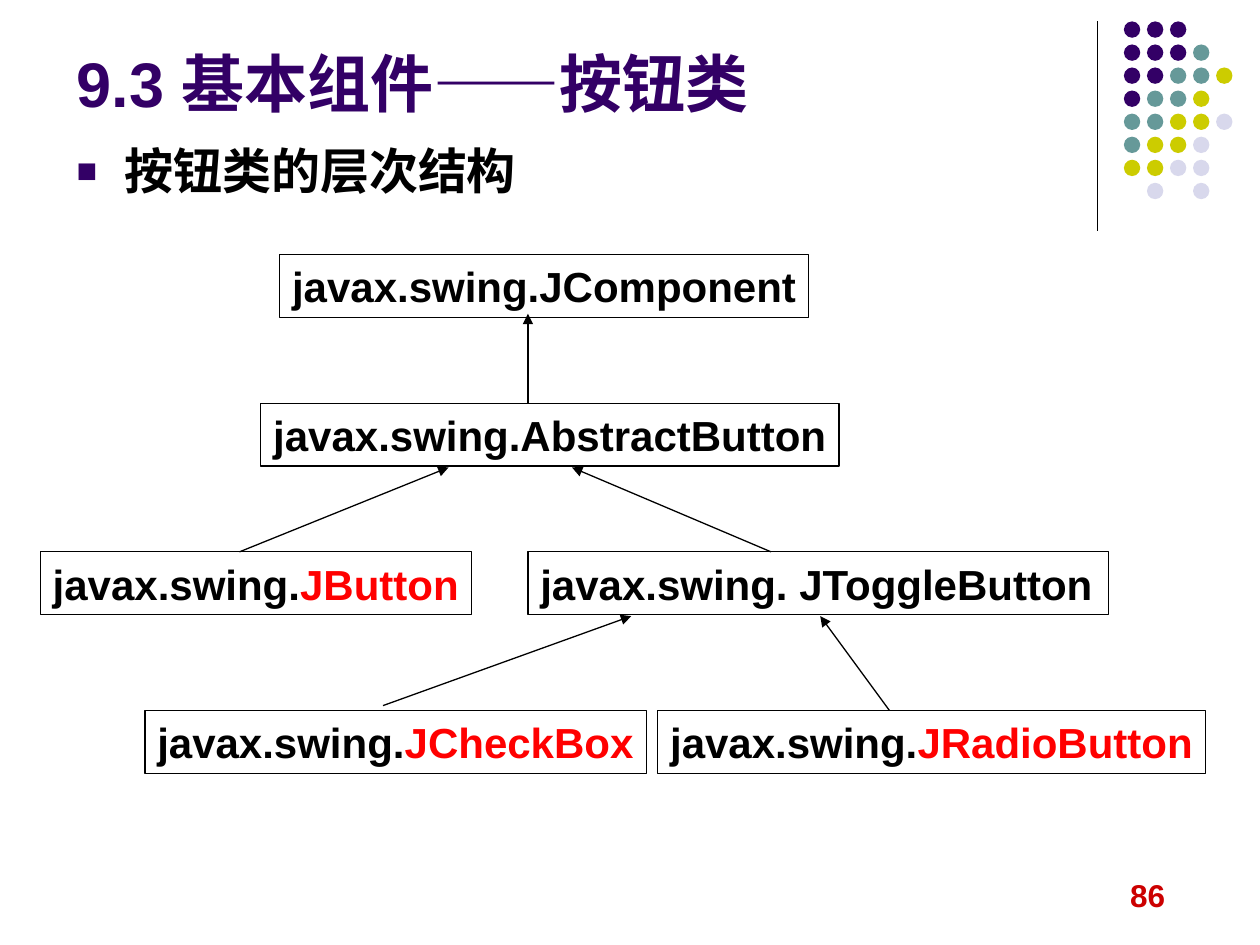
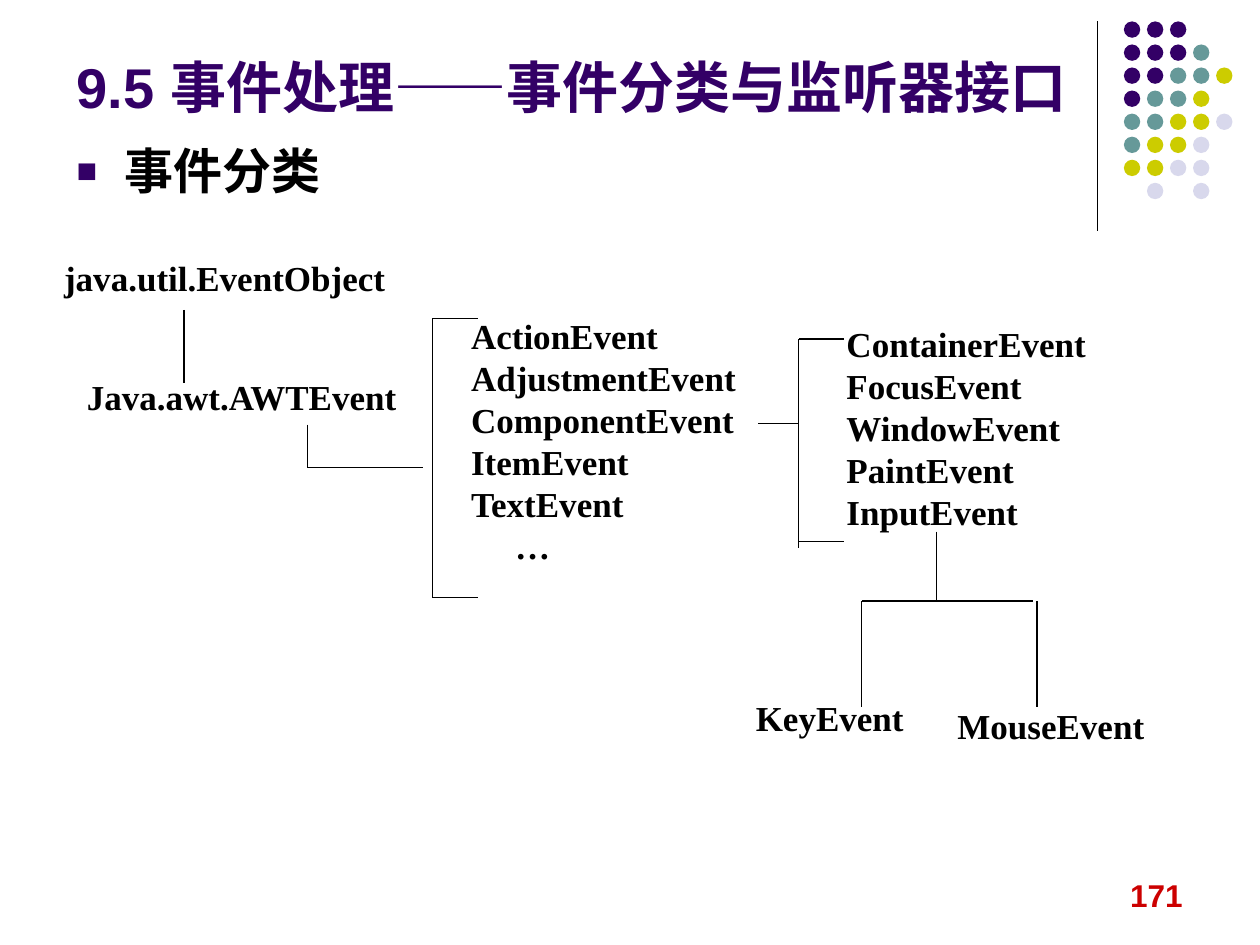
from itertools import pairwise
from lxml import etree
from pptx import Presentation
from pptx import util as u
from pptx.dml.color import RGBColor
from pptx.enum import shapes, text
from pptx.oxml.ns import qn

PX = 9144  # one px is a hundredth of an inch
HUES = {"plum": "330066", "teal": "669999", "lime": "CCCC00", "mist": "D8D8EC",
        "ink": "000000", "red": "FF0000", "page": "CC0000"}
SANS, SERIF = "Arial", "Times New Roman"

# Dot pattern: one letter per dot
DOTS = ["PPP", "PPPT", "PPTTY", "PTTY", "TTYYL", "TYYL", "YYLL", " L L"]
DOT_HUE = {"P": "plum", "T": "teal", "Y": "lime", "L": "mist"}
DOT_X, DOT_Y, PITCH, DOT = 892, 17, 18.3, 13

# Class tree: left, top, width, package, class, class colour
BOX_H = 50
BOXES = [
    (222, 202, 420, "javax.swing.", "JComponent", "ink"),
    (207, 320, 459, "javax.swing.", "AbstractButton", "ink"),
    (32, 438, 342, "javax.swing.", "JButton", "red"),
    (419, 438, 461, "javax.swing. ", "JToggleButton", "ink"),
    (115, 564, 398, "javax.swing.", "JCheckBox", "red"),
    (522, 564, 435, "javax.swing.", "JRadioButton", "red"),
]
ARROWS = [
    ((419, 320), (419, 249)),
    ((190, 438), (356, 371)),
    ((612, 438), (454, 371)),
    ((706, 564), (651, 489)),
    ((304, 560), (501, 489)),
]

# Event classes: left, top, width, height, names
EVENTS = [
    (41, 199, 289, 44, ["java.util.EventObject"]),
    (59, 293, 269, 44, ["Java.awt.AWTEvent"]),
    (364, 245, 230, 210, ["ActionEvent", "AdjustmentEvent", "ComponentEvent",
                          "ItemEvent", "TextEvent", "…"]),
    (662, 251, 220, 177, ["ContainerEvent", "FocusEvent", "WindowEvent",
                          "PaintEvent", "InputEvent"]),
    (590, 548, 153, 44, ["KeyEvent"]),
    (750, 554, 190, 44, ["MouseEvent"]),
]
MORE_INDENT = 35
BRANCHES = [
    [(146, 246), (146, 304)],
    [(244, 337), (244, 371), (336, 371)],
    [(379, 253), (343, 253), (343, 474), (379, 474)],
    [(602, 336), (634, 336)],
    [(670, 269), (634, 269), (634, 435)],
    [(634, 430), (670, 430)],
    [(743, 422), (743, 477)],
    [(684, 561), (684, 477), (820, 477)],
    [(823, 477), (823, 561)],
]


def px(*vals):
    return [round(v * PX) for v in vals]


def rgb(name):
    return RGBColor.from_string(HUES[name])


def style(run, size, hue="ink", face=SANS):
    font = run.font
    font.size, font.bold, font.name = u.Pt(size), True, face
    font.color.rgb = rgb(hue)


def label(slide, box, lines, size, hue="ink", face=SANS, wrap=False):
    frame = slide.shapes.add_textbox(*px(*box)).text_frame
    frame.word_wrap = wrap
    frame.text = "\n".join(lines)
    for para in frame.paragraphs:
        style(para.runs[0], size, hue, face)
    return frame


def line(slide, start, end, arrow=False):
    link = slide.shapes.add_connector(shapes.MSO_CONNECTOR.STRAIGHT,
                                      *px(*start, *end))
    link.line.color.rgb = rgb("ink")
    link.line.width = u.Pt(0.75)
    if arrow:
        etree.SubElement(link.line._get_or_add_ln(), qn("a:tailEnd"),
                         type="triangle")
    etree.SubElement(link._element.spPr, qn("a:effectLst"))


def bullet(para):
    props = para._p.get_or_add_pPr()
    props.set("marL", str(38 * PX))
    props.set("indent", str(-38 * PX))
    hue = etree.SubElement(props, qn("a:buClr"))
    etree.SubElement(hue, qn("a:srgbClr"), val=HUES["plum"])
    etree.SubElement(props, qn("a:buSzPct"), val="70000")
    etree.SubElement(props, qn("a:buFont"), typeface=SANS)
    etree.SubElement(props, qn("a:buChar"), char="■")


def start(deck, title, size, topic, page):
    """Add a slide with the shared dots, title, topic and page number."""
    slide = deck.slides.add_slide(deck.slide_layouts[5])
    line(slide, (871, 17), (871, 183))
    for row, marks in enumerate(DOTS):
        for col, mark in enumerate(marks):
            if mark == " ":
                continue
            dot = slide.shapes.add_shape(
                shapes.MSO_SHAPE.OVAL,
                *px(DOT_X + col * PITCH, DOT_Y + row * PITCH, DOT, DOT))
            dot.shadow.inherit = False
            dot.fill.solid()
            dot.fill.fore_color.rgb = rgb(DOT_HUE[mark])
            dot.line.fill.background()

    head = slide.shapes.title
    head.left, head.top, head.width, head.height = px(51, 21, 825, 79)
    frame = head.text_frame
    frame.text = title
    frame.vertical_anchor = text.MSO_ANCHOR.BOTTOM
    frame.auto_size = text.MSO_AUTO_SIZE.NONE
    frame.paragraphs[0].alignment = text.PP_ALIGN.LEFT
    style(frame.paragraphs[0].runs[0], size, "plum")

    body = label(slide, (51, 107, 900, 567), [topic], 28, wrap=True)
    bullet(body.paragraphs[0])
    label(slide, (887, 690, 141, 40), [page], 18, "page")
    return slide


def tree(slide):
    for left, top, width, pack, name, hue in BOXES:
        box = slide.shapes.add_shape(shapes.MSO_SHAPE.RECTANGLE,
                                     *px(left, top, width, BOX_H))
        box.shadow.inherit = False
        box.fill.background()
        box.line.color.rgb = rgb("ink")
        box.line.width = u.Pt(0.75)
        frame = box.text_frame
        frame.word_wrap = False
        frame.vertical_anchor = text.MSO_ANCHOR.TOP
        para = frame.paragraphs[0]
        para.alignment = text.PP_ALIGN.LEFT
        for part, tint in ((pack, "ink"), (name, hue)):
            run = para.add_run()
            run.text = part
            style(run, 24, tint)
    for tail, tip in ARROWS:
        line(slide, tail, tip, arrow=True)


def events(slide):
    for *box, names in EVENTS:
        frame = label(slide, box, names, 20, face=SERIF)
        for para in frame.paragraphs:
            if para.text == "…":
                para._p.get_or_add_pPr().set("marL", str(MORE_INDENT * PX))
    for route in BRANCHES:
        for here, there in pairwise(route):
            line(slide, here, there)


def main():
    deck = Presentation()
    deck.slide_width, deck.slide_height = px(1000, 750)
    tree(start(deck, "9.3 基本组件——按钮类", 36, "按钮类的层次结构", "86"))
    events(start(deck, "9.5 事件处理——事件分类与监听器接口", 32,
                 "事件分类", "171"))
    deck.save("out.pptx")


if __name__ == "__main__":
    main()
